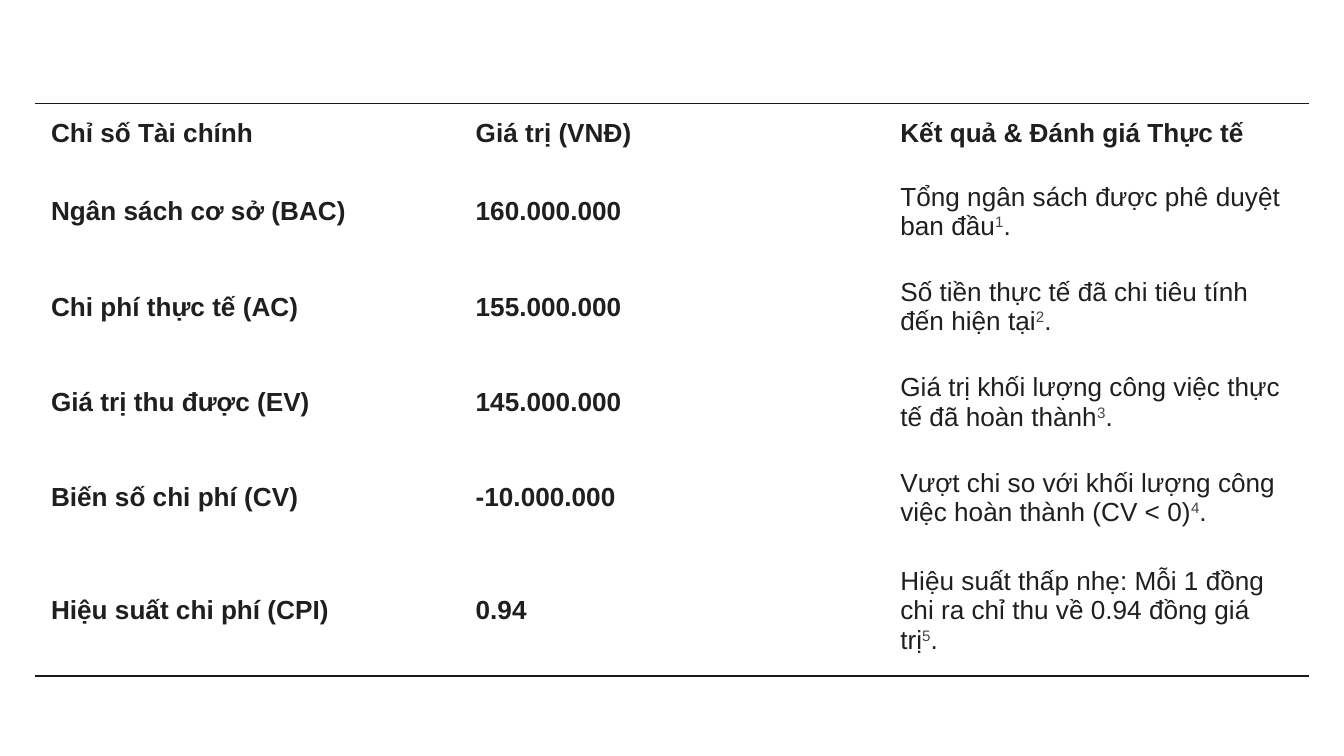
from dataclasses import dataclass

from lxml import etree
from pptx import Presentation
from pptx import util as u
from pptx.dml.color import RGBColor
from pptx.enum import text
from pptx.oxml import ns


@dataclass(frozen=True)
class Theme:
    font: str = "Arial"
    size: int = 14
    ink: str = "1F1F1F"
    note: str = "444746"
    rule: str = "191919"
    rule_width: int = 1
    raised: int = 30000


THEME = Theme()
WIDTH = 10
HEIGHT = WIDTH * 9 / 16
LEFT, TOP = 0.26, 0.77
COLUMNS = 3
ROW_HEIGHTS = [0.45] + [0.71] * 4 + [0.97]
PAD_X, PAD_Y = 0.12, 0.08
SIDES = ("lnL", "lnR", "lnT", "lnB")

HEADER = ("Chỉ số Tài chính", "Giá trị (VNĐ)", "Kết quả & Đánh giá Thực tế")
METRICS = [
    ("Ngân sách cơ sở (BAC)", "160.000.000",
     "Tổng ngân sách được phê duyệt ban đầu"),
    ("Chi phí thực tế (AC)", "155.000.000",
     "Số tiền thực tế đã chi tiêu tính đến hiện tại"),
    ("Giá trị thu được (EV)", "145.000.000",
     "Giá trị khối lượng công việc thực tế đã hoàn thành"),
    ("Biến số chi phí (CV)", "-10.000.000",
     "Vượt chi so với khối lượng công việc hoàn thành (CV < 0)"),
    ("Hiệu suất chi phí (CPI)", "0.94",
     "Hiệu suất thấp nhẹ: Mỗi 1 đồng chi ra chỉ thu về 0.94 đồng giá trị"),
]


def style_run(r, color=THEME.ink, bold=False):
    r.font.name = THEME.font
    r.font.size = u.Pt(THEME.size)
    r.font.bold = bold
    r.font.color.rgb = RGBColor.from_string(color)


def set_borders(cell, ruled):
    tc_pr = cell._tc.get_or_add_tcPr()
    for i, side in enumerate(SIDES):
        ln = etree.Element(ns.qn(f"a:{side}"), w=str(u.Pt(THEME.rule_width)))
        if side == ruled:
            fill = etree.SubElement(ln, ns.qn("a:solidFill"))
            etree.SubElement(fill, ns.qn("a:srgbClr"), val=THEME.rule)
        else:
            etree.SubElement(ln, ns.qn("a:noFill"))
        tc_pr.insert(i, ln)


def format_cell(cell, ruled):
    cell.fill.background()
    cell.vertical_anchor = text.MSO_ANCHOR.MIDDLE
    cell.margin_left = cell.margin_right = u.Inches(PAD_X)
    cell.margin_top = cell.margin_bottom = u.Inches(PAD_Y)
    set_borders(cell, ruled)


def write_label(cell, label):
    p = cell.text_frame.paragraphs[0]
    p.text = label
    style_run(p.runs[0], bold=True)


def write_remark(cell, remark, number):
    p = cell.text_frame.paragraphs[0]
    p.text = remark
    style_run(p.runs[0])
    r = p.add_run()
    r.text = str(number)
    style_run(r, THEME.note)
    r.font._element.set("baseline", str(THEME.raised))
    r = p.add_run()
    r.text = "."
    style_run(r)


def add_metrics_table(s):
    width = WIDTH - 2 * LEFT
    tbl = s.shapes.add_table(
        len(ROW_HEIGHTS), COLUMNS, u.Inches(LEFT), u.Inches(TOP),
        u.Inches(width), u.Inches(sum(ROW_HEIGHTS))).table
    tbl.first_row = tbl.horz_banding = False
    for column in tbl.columns:
        column.width = u.Inches(width / COLUMNS)
    ruled_sides = {0: "lnT", len(METRICS): "lnB"}
    for i, height in enumerate(ROW_HEIGHTS):
        tbl.rows[i].height = u.Inches(height)
        for cell in tbl.rows[i].cells:
            format_cell(cell, ruled_sides.get(i))
    for cell, label in zip(tbl.rows[0].cells, HEADER):
        write_label(cell, label)
    for i, (name, value, remark) in enumerate(METRICS, 1):
        write_label(tbl.cell(i, 0), name)
        write_label(tbl.cell(i, 1), value)
        write_remark(tbl.cell(i, 2), remark, i)


def main():
    prs = Presentation()
    prs.slide_width, prs.slide_height = u.Inches(WIDTH), u.Inches(HEIGHT)
    s = prs.slides.add_slide(prs.slide_layouts[6])
    add_metrics_table(s)
    prs.save("out.pptx")


if __name__ == "__main__":
    main()
